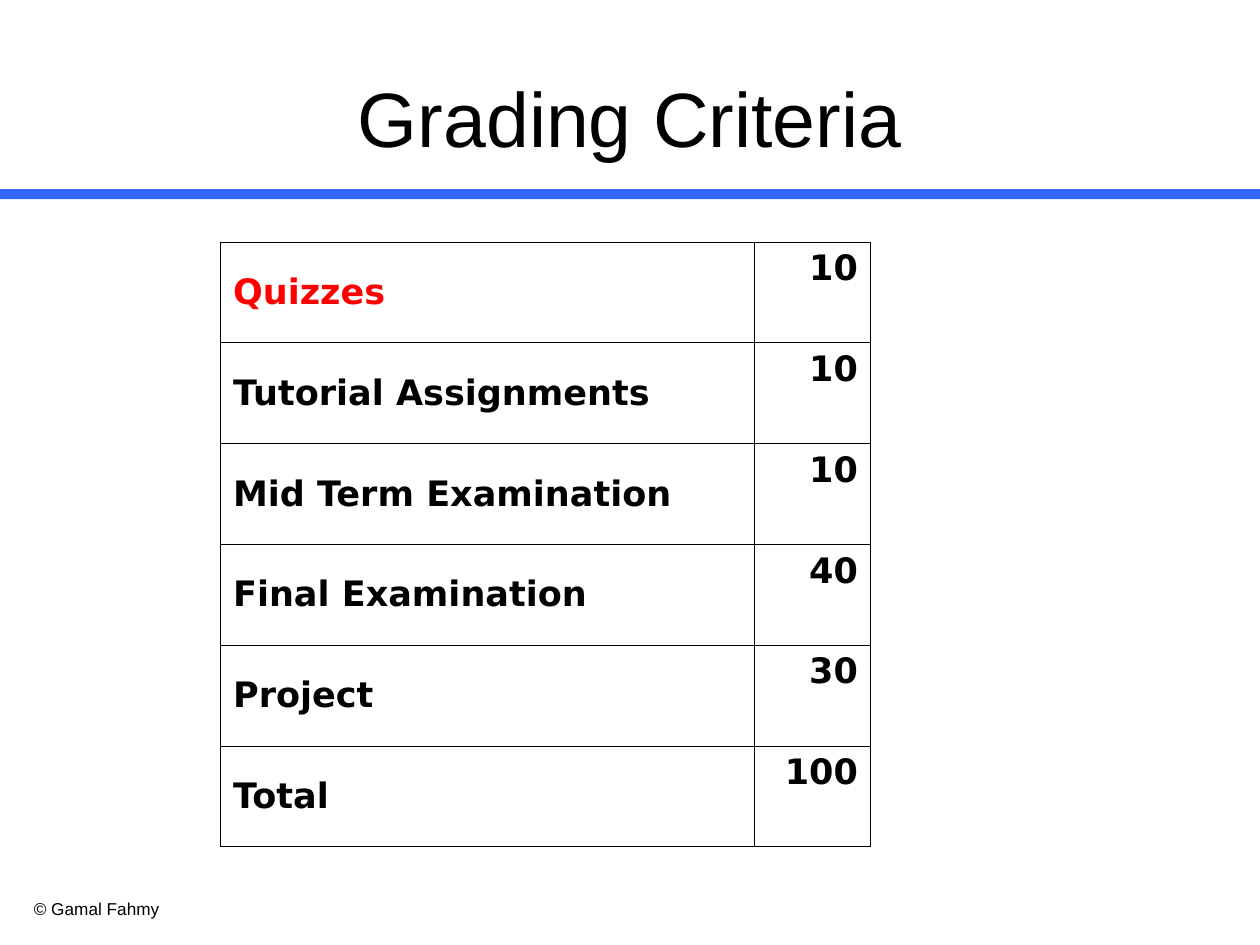
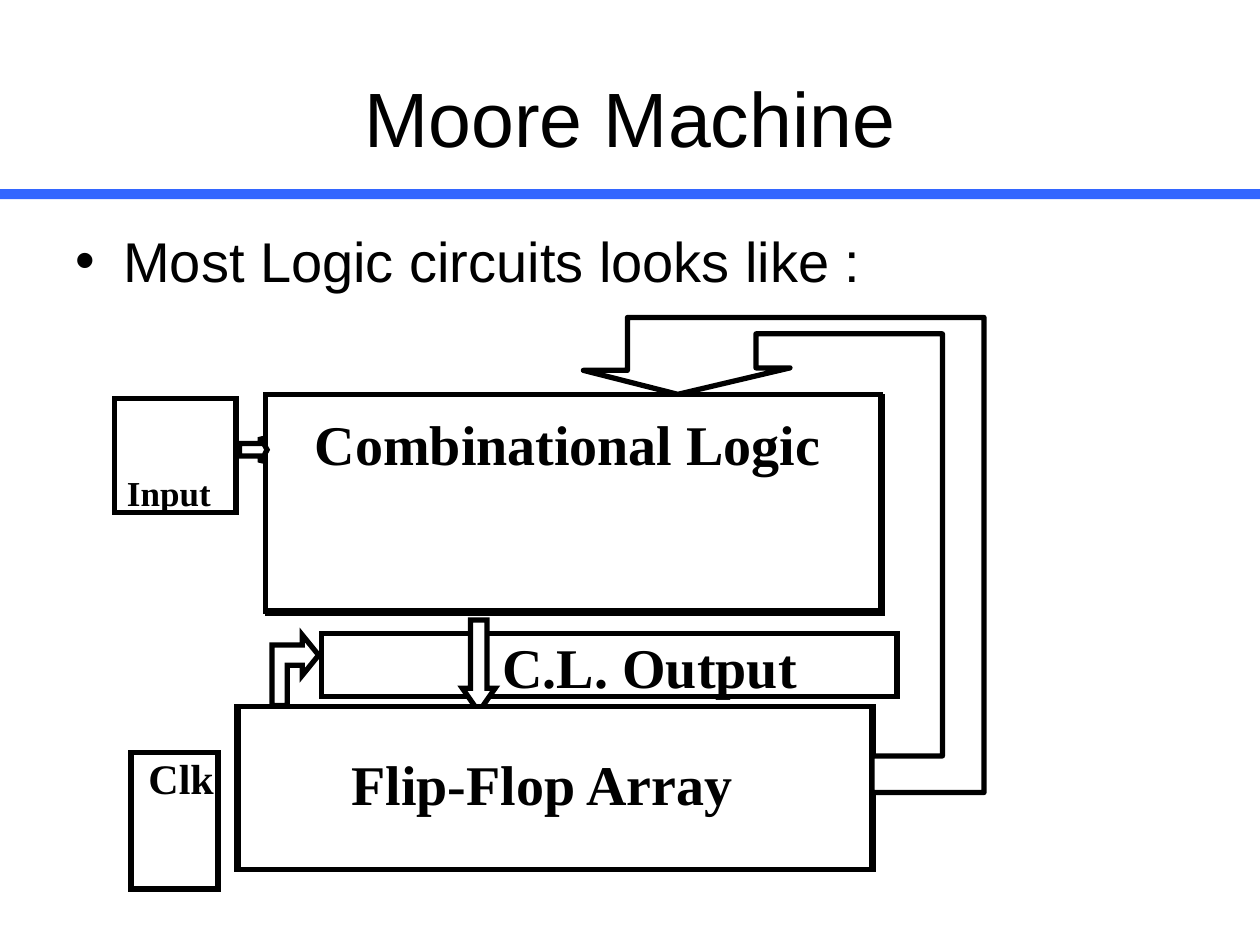
from dataclasses import dataclass

from lxml.etree import SubElement
from pptx import Presentation
from pptx.dml.color import RGBColor
from pptx.enum.shapes import MSO_SHAPE
from pptx.enum.text import MSO_ANCHOR, MSO_AUTO_SIZE, PP_ALIGN
from pptx.oxml import parse_xml
from pptx.oxml.ns import nsdecls, qn
from pptx.util import Inches, Pt

BLACK = "000000"
WHITE = "FFFFFF"
RED = "FF0000"
BAND_BLUE = "3366FF"
HANGING = 0.38


@dataclass
class Block:
    left: float
    top: float
    width: float
    height: float
    fill: str | None = WHITE
    preset: MSO_SHAPE = MSO_SHAPE.RECTANGLE
    adjustments: tuple[float, ...] = ()


@dataclass
class Label:
    text: str
    left: float
    top: float
    width: float
    height: float
    size: float = 32


@dataclass
class Outline:
    points: list[tuple[float, float]]
    sharp: bool = True


CIRCUIT = [
    Block(2.55, 5.03, 4.57, 0.5, fill=None),
    Label("C.L. Output", 3.89, 4.97, 2.58, 0.64),
    Block(2.12, 3.15, 4.88, 1.72, fill=None),
    Block(2.11, 3.13, 4.88, 1.72),
    Label("Combinational Logic", 2.4, 3.2, 4.22, 0.64),
    Block(3.67, 4.92, 0.26, 0.73, preset=MSO_SHAPE.DOWN_ARROW, adjustments=(0.5, 0.72)),
    Block(1.88, 5.61, 5.04, 1.29),
    Block(1.89, 5.61, 5.04, 1.29, fill=None),
    Label("Flip-Flop Array", 2.69, 5.9, 3.25, 0.64),
    Block(1.04, 5.98, 0.69, 1.08, fill=None),
    Block(1.04, 5.97, 0.69, 1.08),
    Label("Clk", 1.08, 5.92, 0.72, 0.5, size=24),
    Outline([(2.53, 5.2), (2.4, 5.36), (2.4, 5.28), (2.28, 5.28), (2.28, 5.6),
             (2.16, 5.6), (2.16, 5.12), (2.4, 5.12), (2.4, 5.04)]),
    Block(0.92, 3.16, 0.96, 0.91, fill=None),
    Block(0.91, 3.16, 0.96, 0.91),
    Label("Input", 0.91, 3.69, 0.9, 0.44, size=20),
    Outline([(6.92, 6), (7.48, 6), (7.48, 2.65), (6, 2.65), (6, 2.92), (6.27, 2.92),
             (5.38, 3.13), (4.63, 2.94), (4.98, 2.94), (4.98, 2.52), (7.81, 2.52),
             (7.81, 6.29), (6.92, 6.29)], sharp=False),
    Block(1.9, 3.47, 0.22, 0.2, preset=MSO_SHAPE.RIGHT_ARROW, adjustments=(0.5, 0.27)),
]

GRADES = [("Quizzes", 10), ("Tutorial Assignments", 10), ("Mid Term Examination", 10),
          ("Final Examination", 40), ("Project", 30)]
TOTAL = [("Total", 100)]


def colour(value: str) -> RGBColor:
    return RGBColor.from_string(value)


def write_text(frame, text: str, *, size: float, font: str = "Arial", fill: str = BLACK,
               bold: bool = False, align=PP_ALIGN.LEFT, hanging: float = 0,
               bullet: str | None = None) -> None:
    para = frame.paragraphs[0]
    para.alignment = align
    if hanging:
        properties = para._p.get_or_add_pPr()
        properties.set("marL", str(Inches(hanging)))
        properties.set("indent", str(-Inches(hanging)))
        if bullet:
            SubElement(properties, qn("a:buFont")).set("typeface", font)
            SubElement(properties, qn("a:buChar")).set("char", bullet)
            para.font.size = Pt(size)
    span = para.add_run()
    span.text = text
    span.font.size = Pt(size)
    span.font.name = font
    span.font.bold = bold
    span.font.color.rgb = colour(fill)


def add_text(page, text: str, left: float, top: float, width: float, height: float, *,
             anchor=MSO_ANCHOR.TOP, wrap: bool = True, **text_format) -> None:
    box = page.shapes.add_textbox(Inches(left), Inches(top), Inches(width), Inches(height))
    frame = box.text_frame
    frame.word_wrap = wrap
    frame.auto_size = MSO_AUTO_SIZE.NONE if wrap else MSO_AUTO_SIZE.SHAPE_TO_FIT_TEXT
    frame.vertical_anchor = anchor
    write_text(frame, text, **text_format)


def style_shape(shape, fill: str | None, outlined: bool = True, sharp: bool = True) -> None:
    shape.shadow.inherit = False
    if fill:
        shape.fill.solid()
        shape.fill.fore_color.rgb = colour(fill)
    else:
        shape.fill.background()
    if not outlined:
        shape.line.fill.background()
        return
    shape.line.color.rgb = colour(BLACK)
    shape.line.width = Pt(3)
    if sharp:
        SubElement(shape._element.spPr.find(qn("a:ln")), qn("a:miter")).set("lim", "800000")


def add_block(page, block: Block, outlined: bool = True) -> None:
    shape = page.shapes.add_shape(block.preset, Inches(block.left), Inches(block.top),
                                  Inches(block.width), Inches(block.height))
    for index, value in enumerate(block.adjustments):
        shape.adjustments[index] = value
    style_shape(shape, block.fill, outlined)


def add_outline(page, outline: Outline) -> None:
    points = [(Inches(x), Inches(y)) for x, y in outline.points]
    builder = page.shapes.build_freeform(*points[0])
    builder.add_line_segments(points[1:], close=True)
    style_shape(builder.convert_to_shape(), WHITE, sharp=outline.sharp)


def add_circuit(page) -> None:
    for part in CIRCUIT:
        if isinstance(part, Block):
            add_block(page, part)
        elif isinstance(part, Outline):
            add_outline(page, part)
        else:
            add_text(page, part.text, part.left, part.top, part.width, part.height,
                     wrap=False, size=part.size, font="Times New Roman", bold=True)


def add_borders(cell) -> None:
    properties = cell._tc.get_or_add_tcPr()
    for index, side in enumerate(("lnL", "lnR", "lnT", "lnB")):
        properties.insert(index, parse_xml(
            f'<a:{side} {nsdecls("a")} w="{Pt(0.34)}"><a:solidFill>'
            f'<a:srgbClr val="{BLACK}"/></a:solidFill></a:{side}>'))


def add_grade_table(page, rows: list[tuple[str, int]], top: float) -> None:
    widths = (4.24, 0.92)
    row_height = 0.8
    table = page.shapes.add_table(len(rows), len(widths), Inches(1.75), Inches(top),
                                  Inches(sum(widths)), Inches(row_height * len(rows))).table
    table.first_row = False
    table.horz_banding = False
    for column, width in zip(table.columns, widths):
        column.width = Inches(width)
    for row, (item, marks) in enumerate(rows):
        name_cell, marks_cell = table.cell(row, 0), table.cell(row, 1)
        name_cell.vertical_anchor = MSO_ANCHOR.MIDDLE
        for cell, text, align, fill in (
                (name_cell, item, PP_ALIGN.LEFT, RED if item == "Quizzes" else BLACK),
                (marks_cell, str(marks), PP_ALIGN.RIGHT, BLACK)):
            cell.fill.background()
            add_borders(cell)
            write_text(cell.text_frame, text, size=20, font="DejaVu Sans", fill=fill,
                       bold=True, align=align, hanging=HANGING)


def add_page(deck, title: str):
    page = deck.slides.add_slide(deck.slide_layouts[6])
    add_block(page, Block(0, 1.5, 10, 0.08, fill=BAND_BLUE), outlined=False)
    add_text(page, title, 0.5, 0.3, 9, 1.25, anchor=MSO_ANCHOR.MIDDLE, size=44,
             align=PP_ALIGN.CENTER)
    return page


def main() -> None:
    deck = Presentation()
    deck.slide_width = Inches(10)
    deck.slide_height = Inches(7.5)

    grading = add_page(deck, "Grading Criteria")
    add_text(grading, "© Gamal Fahmy", 0.17, 7.08, 2.17, 0.27, size=9.8)
    add_grade_table(grading, GRADES, 1.92)
    add_grade_table(grading, TOTAL, 5.92)

    moore = add_page(deck, "Moore Machine")
    add_text(moore, "Most Logic circuits looks like :", 0.5, 1.75, 9, 4.95, size=32,
             hanging=HANGING, bullet="•")
    add_circuit(moore)

    deck.save("out.pptx")


if __name__ == "__main__":
    main()
